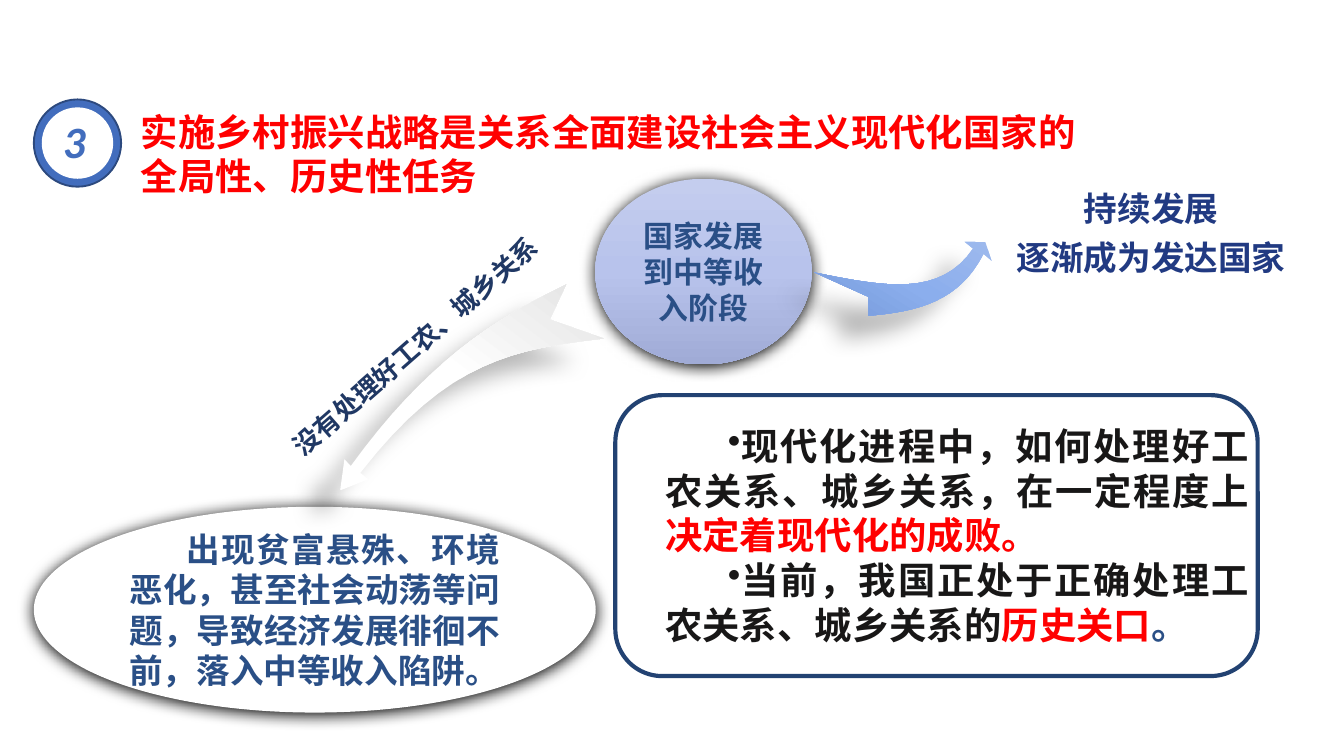
from collections import namedtuple
from dataclasses import dataclass

from pptx import Presentation
from pptx.dml.color import RGBColor
from pptx.enum.shapes import MSO_SHAPE
from pptx.enum.text import MSO_ANCHOR, PP_ALIGN
from pptx.oxml import parse_xml
from pptx.oxml.ns import nsdecls, qn
from pptx.util import Cm, Pt

Box = namedtuple("Box", "left top width height")
Shadow = namedtuple("Shadow", "alpha blur distance angle")


@dataclass(frozen=True)
class Theme:
    """Colours, fonts, sizes and shadows of the slide."""
    white: str = "FFFFFF"
    red: str = "FF0000"
    badge: str = "426DBD"
    badge_edge: str = "2C497E"
    blue: str = "2A4F86"
    navy: str = "213A82"
    deep_navy: str = "203864"
    frame: str = "224272"
    ink: str = "181717"
    stage_fill: tuple = ("C4CDEE", "B8C3EC", "A0ABD6")
    rise_fill: tuple = ("9DB9ED", "8BAEED", "7599D9")
    fall_fill: tuple = ("FFFFFF", "FFFFFF", "E3E3E3")
    cjk: str = "Noto Sans CJK SC"
    latin: str = "Arial"
    numeral: str = "Calibri"
    number: int = 24
    title: int = 20
    body: int = 18
    stage: int = 16
    label: int = 14
    halo: Shadow = Shadow(100, 8.5, 1, 90)
    cast: Shadow = Shadow(28, 11.8, 19.7, 141)


THEME = Theme()


def place(box):
    """Turn a box in centimetres into lengths."""
    return [Cm(length) for length in box]


def paint(shape, fill=None, edge=None, weight=1):
    """Give a shape a plain fill and outline, without shadow."""
    shape.shadow.inherit = False
    if fill:
        shape.fill.solid()
        shape.fill.fore_color.rgb = RGBColor.from_string(fill)
    else:
        shape.fill.background()
    if edge:
        shape.line.color.rgb = RGBColor.from_string(edge)
        shape.line.width = Pt(weight)
    else:
        shape.line.fill.background()


def blend(shape, colors, angle):
    """Fill a shape with an even gradient, angle clockwise."""
    shape.fill.gradient()
    shape.fill.gradient_angle = (360 - angle) % 360
    stops = shape._element.spPr.find(qn("a:gradFill")).find(qn("a:gsLst"))
    stops.clear()
    for index, color in enumerate(colors):
        stops.append(parse_xml(
            f'<a:gs {nsdecls("a")} pos="{index * 50000}"><a:srgbClr val="{color}"/></a:gs>'))


def cast_shadow(shape, shadow):
    """Add an outer shadow to a painted shape."""
    shape._element.spPr.find(qn("a:effectLst")).append(parse_xml(
        f'<a:outerShdw {nsdecls("a")} blurRad="{Pt(shadow.blur)}" dist="{Pt(shadow.distance)}" '
        f'dir="{shadow.angle * 60000}" algn="ctr" rotWithShape="0"><a:srgbClr val="000000">'
        f'<a:alpha val="{shadow.alpha * 1000}"/></a:srgbClr></a:outerShdw>'))


def style(font, size, color, name):
    """Set a bold font for Latin and East Asian text."""
    font.size, font.bold, font.name = Pt(size), True, name
    font.color.rgb = RGBColor.from_string(color)
    font._element.find(qn("a:latin")).addnext(
        parse_xml(f'<a:ea {nsdecls("a")} typeface="{THEME.cjk}"/>'))


def write(shape, lines, size, color, name=THEME.cjk, align=PP_ALIGN.LEFT,
          anchor=MSO_ANCHOR.TOP, wrap=True, spacing=None):
    """Write one paragraph per line and return the paragraphs."""
    frame = shape.text_frame
    frame.word_wrap, frame.vertical_anchor = wrap, anchor
    for index, line in enumerate(lines):
        paragraph = frame.paragraphs[0] if index == 0 else frame.add_paragraph()
        paragraph.text = line
        paragraph.alignment, paragraph.line_spacing = align, spacing
        style(paragraph.font, size, color, name)
    return frame.paragraphs


def add_heading(slide, box):
    """Place the numbered badge and the title beside it."""
    left, top, width, height = box
    size, rim = 1.65, 0.15
    inner = size - 2 * rim
    disc = slide.shapes.add_shape(MSO_SHAPE.OVAL, *place((left, top, size, size)))
    paint(disc, THEME.badge, THEME.badge_edge)
    core = slide.shapes.add_shape(
        MSO_SHAPE.OVAL, *place((left + rim, top + rim, inner, inner)))
    paint(core, THEME.white)
    number = slide.shapes.add_textbox(*place((left + 0.3, top + rim, 1.09, 1.27)))
    write(number, ["3"], THEME.number, THEME.badge, THEME.numeral)[0].font.italic = True
    title = slide.shapes.add_textbox(*place((left + 1.77, top + 0.05, width - 1.77, height)))
    write(title, ["实施乡村振兴战略是关系全面建设社会主义现代化国家的", "全局性、历史性任务"],
          THEME.title, THEME.red, wrap=False)


def add_stage(slide, box):
    """Place the ellipse for the middle-income stage."""
    stage = slide.shapes.add_shape(MSO_SHAPE.OVAL, *place(box))
    paint(stage)
    blend(stage, THEME.stage_fill, 90)
    cast_shadow(stage, THEME.halo)
    write(stage, ["国家发展到中等收入阶段"], THEME.stage, THEME.blue, THEME.latin,
          PP_ALIGN.CENTER, MSO_ANCHOR.MIDDLE)


def add_label(slide, box, lines, size, color, fill=None, rotation=0):
    """Place a centred label in a rounded box."""
    label = slide.shapes.add_shape(MSO_SHAPE.ROUNDED_RECTANGLE, *place(box))
    paint(label, fill)
    label.rotation = rotation
    write(label, lines, size, color, align=PP_ALIGN.CENTER,
          anchor=MSO_ANCHOR.MIDDLE, wrap=False, spacing=1.2)


def add_trap(slide, box):
    """Place the ellipse for the middle-income trap."""
    trap = slide.shapes.add_shape(MSO_SHAPE.OVAL, *place(box))
    paint(trap, THEME.white)
    cast_shadow(trap, THEME.halo)
    text = "出现贫富悬殊、环境恶化，甚至社会动荡等问题，导致经济发展徘徊不前，落入中等收入陷阱。"
    paragraph = write(trap, [text], THEME.body, THEME.blue, align=PP_ALIGN.JUSTIFY,
                      anchor=MSO_ANCHOR.MIDDLE)[0]
    paragraph._p.get_or_add_pPr().set("indent", str(Cm(1.09)))


def add_panel(slide, box):
    """Place the framed panel with its two bulleted points."""
    left, top, width, height = box
    panel = slide.shapes.add_shape(MSO_SHAPE.ROUNDED_RECTANGLE, *place(box))
    paint(panel, THEME.white, THEME.frame, 2.25)
    points = slide.shapes.add_textbox(*place((left + 0.08, top + 0.4, width, height - 0.79)))
    frame = points.text_frame
    frame.word_wrap, frame.margin_left = True, Cm(0.86)
    contents = [
        [("现代化进程中，如何处理好工农关系、城乡关系，在一定程度上", THEME.ink),
         ("决定着现代化的成败。", THEME.red)],
        [("当前，我国正处于正确处理工农关系、城乡关系的", THEME.ink),
         ("历史关口", THEME.red), ("。", THEME.blue)],
    ]
    for index, pieces in enumerate(contents):
        point = frame.paragraphs[0] if index == 0 else frame.add_paragraph()
        point.alignment, point.line_spacing = PP_ALIGN.JUSTIFY, Pt(24)
        properties = point._p.get_or_add_pPr()
        properties.set("marL", "0")
        properties.set("indent", str(Cm(1.19)))
        properties.append(parse_xml(f'<a:buChar {nsdecls("a")} char="•"/>'))
        for text, color in pieces:
            run = point.add_run()
            run.text = text
            style(run.font, THEME.title, color, THEME.cjk)


def trace(segments, steps=16):
    """List the points of lines (x, y) and Bézier curves (six numbers)."""
    points = []
    for segment in segments:
        if len(segment) == 2:
            points.append(segment)
            continue
        corners = [points[-1], segment[:2], segment[2:4], segment[4:]]
        for step in range(1, steps + 1):
            t = step / steps
            weights = ((1 - t) ** 3, 3 * t * (1 - t) ** 2, 3 * t * t * (1 - t), t ** 3)
            points.append(tuple(sum(w * corner[axis] for w, corner in zip(weights, corners))
                                for axis in (0, 1)))
    return points


def add_swoosh(slide, left, top, segments, colors, angle):
    """Place a curved arrow whose outline is relative to the given corner."""
    start, *rest = [(Cm(left + x), Cm(top + y)) for x, y in trace(segments)]
    builder = slide.shapes.build_freeform(*start, scale=1.0)
    builder.add_line_segments(rest, close=True)
    swoosh = builder.convert_to_shape()
    paint(swoosh)
    blend(swoosh, colors, angle)
    cast_shadow(swoosh, THEME.cast)


def main():
    """Build the slide and save it."""
    deck = Presentation()
    deck.slide_width, deck.slide_height = Cm(25.4), Cm(14.29)
    slide = deck.slides.add_slide(deck.slide_layouts[6])
    add_heading(slide, Box(0.64, 1.88, 20.08, 1.96))
    add_stage(slide, Box(11.25, 3.38, 4.09, 3.51))
    add_label(slide, Box(19.1, 3.38, 5.31, 1.88), ["持续发展", "逐渐成为发达国家"],
              THEME.body, THEME.navy, THEME.white)
    add_label(slide, Box(3.76, 5.64, 8.1, 1.7), ["没有处理好工农、城乡关系"],
              THEME.label, THEME.deep_navy, rotation=318.7)
    add_trap(slide, Box(0.64, 9.58, 10.62, 3.89))
    add_panel(slide, Box(11.63, 7.47, 12.14, 5.31))
    rise = [(2.84, 0), (3.23, 0), (3.35, 0.36), (3.2, 0.23),
            (2.74, 1.12, 1.98, 1.32, 1.02, 1.4), (1.02, 1.04), (0, 0.58),
            (1.35, 0.86, 2.39, 1.04, 3, 0.13)]
    fall = [(0.53, 3.68), (0, 3.89), (0.08, 3.3), (0.2, 3.43),
            (1.6, 1.5, 2.84, 0.69, 4.27, 0), (3.96, 0.66), (4.98, 1.02),
            (3.33, 1.22, 2.06, 1.4, 0.38, 3.56)]
    add_swoosh(slide, 15.39, 4.57, rise, THEME.rise_fill, 122)
    add_swoosh(slide, 6.43, 5.38, fall, THEME.fall_fill, 307)
    deck.save("out.pptx")


if __name__ == "__main__":
    main()
